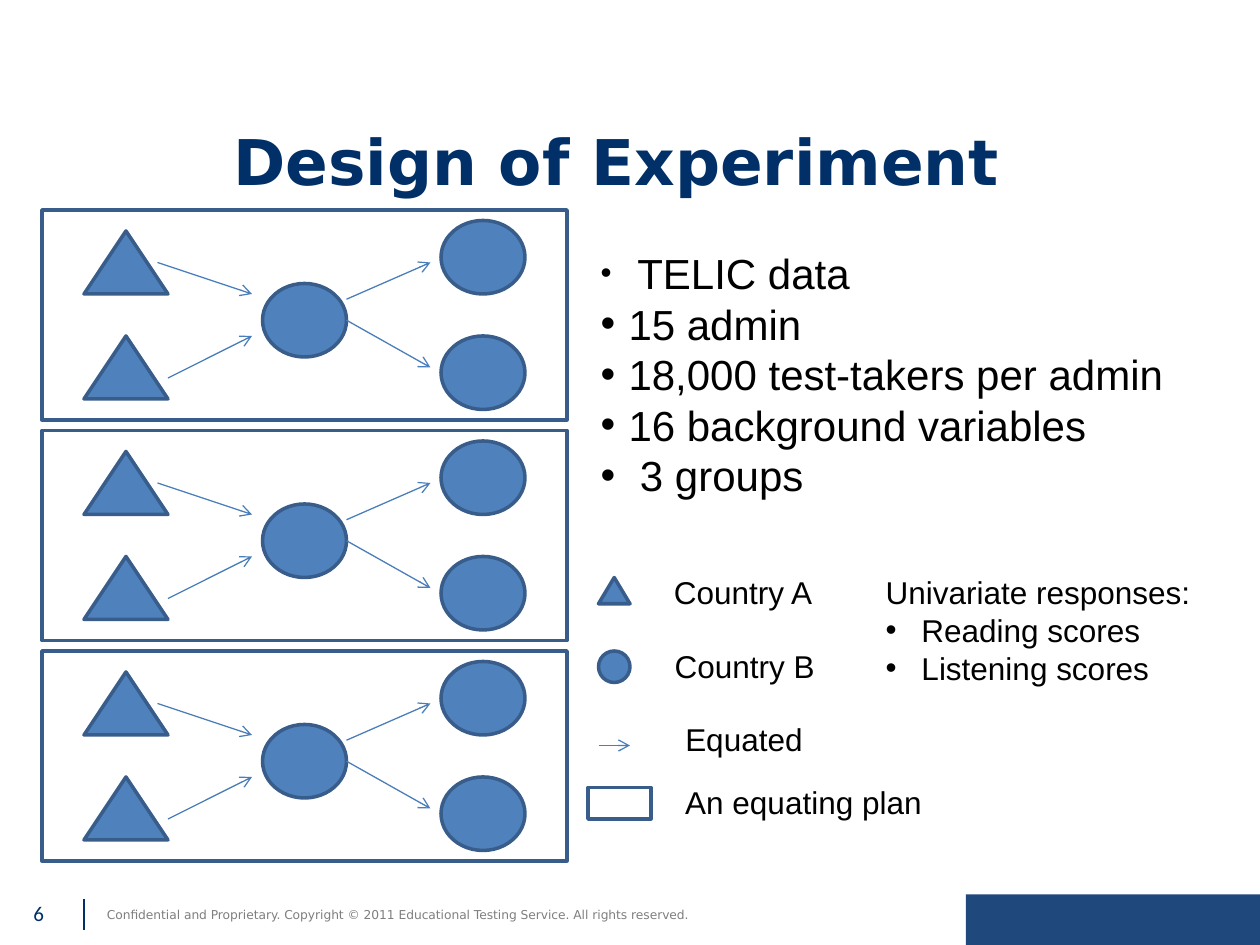
from dataclasses import dataclass

from lxml import etree
from pptx import Presentation
from pptx import util as u
from pptx.dml import color
from pptx.enum import shapes, text
from pptx.oxml import ns

COLORS = {
    "navy": "003067",
    "band": "1F497D",
    "fill": "4F81BD",
    "outline": "385D8A",
    "arrow": "4A7EBB",
    "black": "000000",
    "gray": "7F7F7F",
}
OVAL = shapes.MSO_SHAPE.OVAL
TRIANGLE = shapes.MSO_SHAPE.ISOSCELES_TRIANGLE
RECTANGLE = shapes.MSO_SHAPE.RECTANGLE

TITLE_FORMAT = {"name": "DejaVu Sans", "size": u.Pt(36), "bold": True}
LIST_FORMAT = {"name": "Arial", "size": u.Pt(24)}
LABEL_FORMAT = {"name": "Arial", "size": u.Pt(18)}
FOOTER_FORMAT = {"name": "DejaVu Sans", "size": u.Pt(7)}
NUMBER_FORMAT = {"name": "Calibri", "size": u.Pt(12)}


@dataclass(frozen=True)
class Symbol:
    kind: shapes.MSO_SHAPE
    left: float
    top: float
    width: float
    height: float
    fill: str | None = "fill"
    outline: str | None = "outline"


@dataclass(frozen=True)
class Line:
    x1: float
    y1: float
    x2: float
    y2: float
    color: str = "arrow"
    arrow: bool = True


@dataclass(frozen=True)
class Item:
    """A paragraph; a positive indent gives it a bullet."""
    words: str
    indent: float = 0
    bullet_percent: int = 100


@dataclass(frozen=True)
class Label:
    words: str
    left: float
    top: float
    width: float


# One equating plan, measured from the top of its frame
PLAN_TOP, PLAN_STEP, PLAN_COUNT = 120, 126, 3
PLAN_SYMBOLS = [
    Symbol(OVAL, 252, 6, 48, 42),
    Symbol(OVAL, 252, 72, 48, 42),
    Symbol(OVAL, 150, 42, 48, 42),
    Symbol(TRIANGLE, 48, 12, 48, 36),
    Symbol(TRIANGLE, 48, 72, 48, 36),
    Symbol(RECTANGLE, 24, 0, 300, 120, fill=None),
]
PLAN_ARROWS = [
    Line(198, 51, 246, 30),
    Line(198, 63, 246, 90),
    Line(96, 96, 144, 72),
    Line(90, 30, 144, 48),
]

LEGEND_SYMBOLS = [
    Symbol(TRIANGLE, 342, 330, 18, 15),
    Symbol(OVAL, 342, 372, 18, 18),
    Symbol(RECTANGLE, 336, 450, 36, 18, fill=None),
]
LEGEND_LABELS = [
    Label("Country A", 378, 324, 94.5),
    Label("Country B", 378.5, 366, 94.5),
    Label("Equated", 384.5, 408, 81.5),
    Label("An equating plan", 384.5, 444, 149),
]

DATA_ITEMS = [
    Item("TELIC data", 21, 75),
    Item("15 admin", 16),
    Item("18,000 test-takers per admin", 16),
    Item("16 background variables", 16),
    Item("3 groups", 22.5),
]
RESPONSE_ITEMS = [
    Item("Univariate responses:"),
    Item("Reading scores", 20.5),
    Item("Listening scores", 20.5),
]


def rgb(name: str) -> color.RGBColor:
    return color.RGBColor.from_string(COLORS[name])


def place(shape, left: float, top: float, width: float, height: float) -> None:
    box = {"left": left, "top": top, "width": width, "height": height}
    for name, value in box.items():
        setattr(shape, name, u.Pt(value))


def draw_symbol(slide, symbol: Symbol, dy: float = 0) -> None:
    shape = slide.shapes.add_shape(symbol.kind, 0, 0, 0, 0)
    place(shape, symbol.left, symbol.top + dy, symbol.width, symbol.height)
    shape.shadow.inherit = False
    if symbol.fill:
        shape.fill.solid()
        shape.fill.fore_color.rgb = rgb(symbol.fill)
    else:
        shape.fill.background()
    if symbol.outline:
        shape.line.color.rgb = rgb(symbol.outline)
        shape.line.width = u.Pt(2)
    else:
        shape.line.fill.background()


def draw_line(slide, line: Line, dy: float = 0) -> None:
    connector = slide.shapes.add_connector(
        shapes.MSO_CONNECTOR.STRAIGHT,
        u.Pt(line.x1), u.Pt(line.y1 + dy), u.Pt(line.x2), u.Pt(line.y2 + dy))
    connector.line.color.rgb = rgb(line.color)
    connector.line.width = u.Pt(0.75)
    properties = connector.element.spPr
    if line.arrow:
        etree.SubElement(properties.find(ns.qn("a:ln")), ns.qn("a:tailEnd"), type="arrow")
    etree.SubElement(properties, ns.qn("a:effectLst"))


def add_bullet(paragraph, item: Item) -> None:
    properties = paragraph._p.get_or_add_pPr()
    indent = u.Pt(item.indent)
    properties.set("marL", str(indent))
    properties.set("indent", str(-indent))
    etree.SubElement(properties, ns.qn("a:buSzPct"), val=str(item.bullet_percent * 1000))
    etree.SubElement(properties, ns.qn("a:buFont"), typeface="Arial")
    etree.SubElement(properties, ns.qn("a:buChar"), char="•")


def write(shape, items: list[Item], style: dict, ink: str = "black", wrap: bool = True) -> None:
    frame = shape.text_frame
    frame.auto_size = text.MSO_AUTO_SIZE.NONE
    frame.word_wrap = wrap
    for index, item in enumerate(items):
        paragraph = frame.add_paragraph() if index else frame.paragraphs[0]
        paragraph.alignment = text.PP_ALIGN.LEFT
        paragraph.space_before = u.Pt(0)
        if item.indent:
            add_bullet(paragraph, item)
        run = paragraph.add_run()
        run.text = item.words
        for name, value in style.items():
            setattr(run.font, name, value)
        run.font.color.rgb = rgb(ink)


def add_text(slide, box: tuple, items: list[Item], style: dict, ink: str = "black",
             wrap: bool = True) -> None:
    shape = slide.shapes.add_textbox(*map(u.Pt, box))
    write(shape, items, style, ink, wrap)


def main() -> None:
    deck = Presentation()
    deck.slide_width, deck.slide_height = u.Pt(720), u.Pt(540)
    slide = deck.slides.add_slide(deck.slide_layouts[1])

    title, data = slide.placeholders
    place(title, 126, 72, 552, 45)
    write(title, [Item("Design of Experiment")], TITLE_FORMAT, "navy")
    title.text_frame.vertical_anchor = text.MSO_ANCHOR.BOTTOM
    place(data, 336, 138, 384, 151)
    write(data, DATA_ITEMS, LIST_FORMAT)

    for plan in range(PLAN_COUNT):
        top = PLAN_TOP + plan * PLAN_STEP
        for symbol in PLAN_SYMBOLS:
            draw_symbol(slide, symbol, top)
        for arrow in PLAN_ARROWS:
            draw_line(slide, arrow, top)

    for symbol in LEGEND_SYMBOLS:
        draw_symbol(slide, symbol)
    draw_line(slide, Line(342, 426, 360, 426))
    for label in LEGEND_LABELS:
        add_text(slide, (label.left, label.top, label.width, 29), [Item(label.words)],
                 LABEL_FORMAT, wrap=False)
    add_text(slide, (499, 324, 188.5, 72), RESPONSE_ITEMS, LABEL_FORMAT, wrap=False)

    copyright_line = ("Confidential and Proprietary. Copyright © 2011 "
                      "Educational Testing Service. All rights reserved.")
    add_text(slide, (54, 515, 450, 16), [Item(copyright_line)], FOOTER_FORMAT, "gray")
    add_text(slide, (12, 511, 36, 23), [Item("6")], NUMBER_FORMAT, "navy")
    draw_line(slide, Line(48, 513.5, 48, 531.5, "navy", arrow=False))
    draw_symbol(slide, Symbol(RECTANGLE, 552, 511, 168, 29, "band", None))

    deck.save("out.pptx")


if __name__ == "__main__":
    main()
